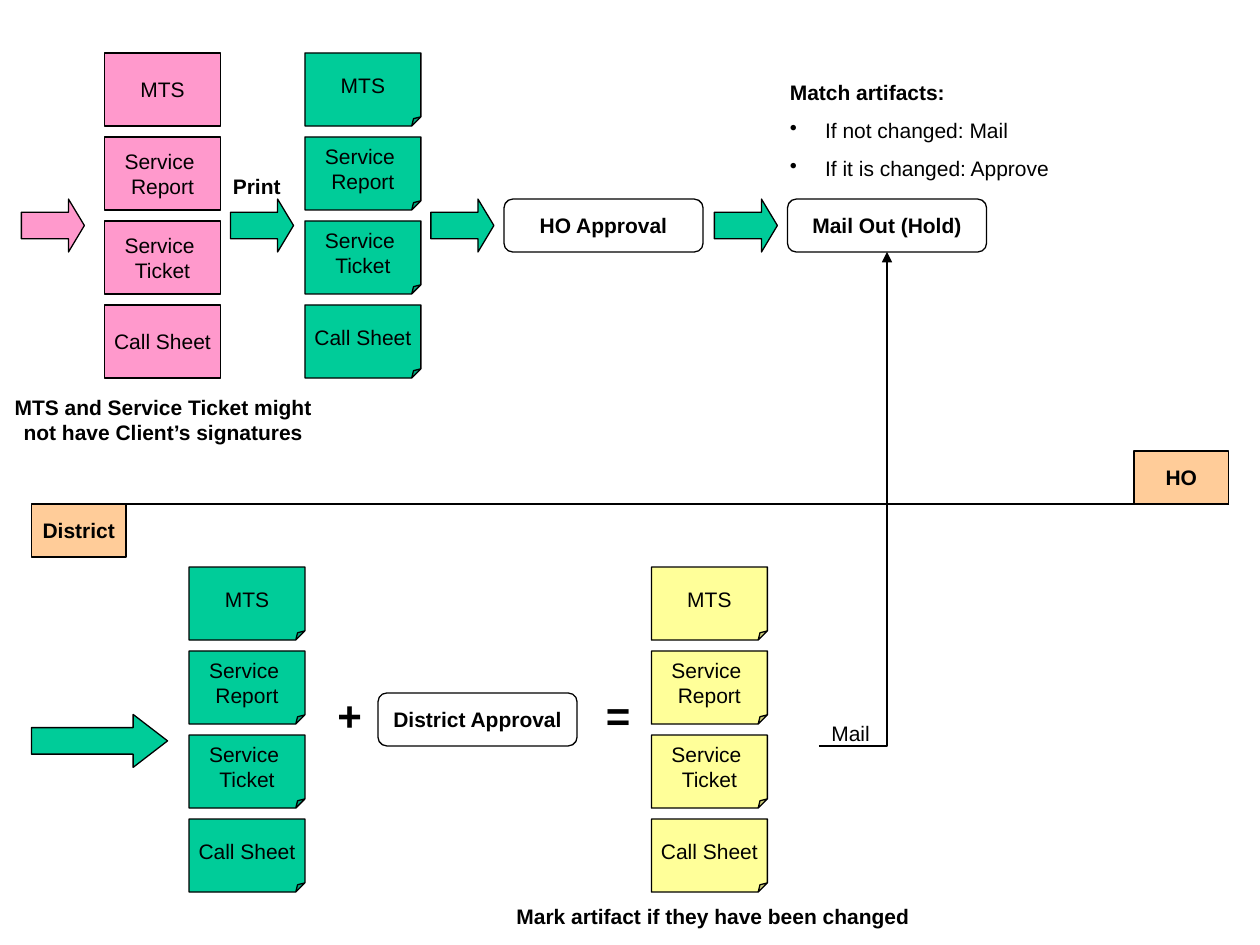
import pptx
import pptx.util
import pptx.dml.color
import pptx.enum.shapes
import pptx.enum.text
import pptx.oxml
import pptx.oxml.ns
import lxml.etree

Inches, Pt = pptx.util.Inches, pptx.util.Pt
RGBColor = pptx.dml.color.RGBColor
SHAPE = pptx.enum.shapes.MSO_SHAPE
CONNECTOR = pptx.enum.shapes.MSO_CONNECTOR
ALIGN = pptx.enum.text.PP_ALIGN
qn = pptx.oxml.ns.qn

BLACK = RGBColor(0x00, 0x00, 0x00)
GREEN = RGBColor(0x00, 0xCC, 0x99)
PINK = RGBColor(0xFF, 0x99, 0xCC)
YELLOW = RGBColor(0xFF, 0xFF, 0x99)
ORANGE = RGBColor(0xFF, 0xCC, 0x99)

# Content; places are in inches
DOCUMENTS = ["MTS", "Service \nReport", "Service \nTicket", "Call Sheet"]
CARD_WIDTH, CARD_HEIGHT, CARD_STEP = 0.92, 0.58, 2 / 3
BAND_HEIGHT = 0.42
ARROW_WIDTH, STEP_WIDTH = 0.5, 1.58
TOP_ROW = 1.58
# left, top, fill, fold size
STACKS = [
    (1.5, 4.5, GREEN, 0.125),
    (5.17, 4.5, YELLOW, 0.125),
    (0.83, 0.42, PINK, 0),
    (2.42, 0.42, GREEN, 0.125),
]
# left, top, width, fill, head length
ARROWS = [
    (0.25, 5.67, 1.08, GREEN, 0.65),
    (0.17, TOP_ROW, ARROW_WIDTH, PINK, 0.3),
    (1.83, TOP_ROW, ARROW_WIDTH, GREEN, 0.3),
    (3.42, TOP_ROW, ARROW_WIDTH, GREEN, 0.3),
    (5.67, TOP_ROW, ARROW_WIDTH, GREEN, 0.3),
]
LANES = [("HO", 9, 3.58), ("District", 0.25, 4)]
STEPS = [
    ("HO Approval", 4, TOP_ROW),
    ("District Approval", 3, 5.5),
    ("Mail Out (Hold)", 6.25, TOP_ROW),
]
# text, place, format
LABELS = [
    ("+\t=", (2.58, 5.42, 3.83, 0.5), dict(size=24, bold=True, before=15, tab=2.13)),
    ("Mail", (6.5, 5.67, 1.33, 0.3), dict()),
    ("Mark artifact if they have been changed", (4, 7.12, 3.92, 0.3), dict(bold=True)),
    ("Print", (1.75, 1.33, 1.17, 0.3), dict(bold=True)),
    ("MTS and Service Ticket might not have Client’s signatures",
     (-0.08, 3.08, 2.75, 0.5), dict(bold=True, align=ALIGN.CENTER)),
]
MATCH_TITLE = "Match artifacts:"
MATCH_RULES = ["If not changed: Mail", "If it is changed: Approve"]
MATCH_PLACE = (6.17, 0.58, 2.42, 0.91)


def write_text(frame, text, size=12, bold=False, align=ALIGN.LEFT, before=0,
               bullet=False, tab=None, append=False):
    """Write one paragraph for each line of text."""
    for index, line in enumerate(text.split("\n")):
        para = frame.add_paragraph() if append or index else frame.paragraphs[0]
        para.alignment = align
        para.space_before = Pt(before)
        span = para.add_run()
        span.text = line
        span.font.name = "Arial"
        span.font.size = Pt(size)
        span.font.bold = bold
        span.font.color.rgb = BLACK
        properties = para._p.get_or_add_pPr()
        if bullet:
            properties.set("marL", str(Inches(0.28)))
            properties.set("indent", str(-Inches(0.28)))
            lxml.etree.SubElement(properties, qn("a:buChar"), char="•")
        if tab:
            stops = lxml.etree.SubElement(properties, qn("a:tabLst"))
            lxml.etree.SubElement(stops, qn("a:tab"), pos=str(Inches(tab)), algn="l")


def add_box(page, kind, place, fill=None, text="", bold=False):
    box = page.shapes.add_shape(kind, *map(Inches, place))
    box.shadow.inherit = False
    if fill is None:
        box.fill.background()
    else:
        box.fill.solid()
        box.fill.fore_color.rgb = fill
    box.line.color.rgb = BLACK
    box.line.width = Pt(0.75)
    if text:
        frame = box.text_frame
        frame.word_wrap = False
        frame.vertical_anchor = pptx.enum.text.MSO_ANCHOR.MIDDLE
        write_text(frame, text, bold=bold, align=ALIGN.CENTER)
    return box


def set_fold(card, fold):
    """Set the fold size in XML, as the library lists no adjustment for this shape."""
    geometry = card._element.spPr.find(qn("a:prstGeom"))
    guides = geometry.find(qn("a:avLst"))
    if guides is None:
        guides = lxml.etree.SubElement(geometry, qn("a:avLst"))
    lxml.etree.SubElement(guides, qn("a:gd"), name="adj", fmla=f"val {round(fold * 100000)}")


def add_label(page, place):
    frame = page.shapes.add_textbox(*map(Inches, place)).text_frame
    frame.word_wrap = True
    frame.auto_size = pptx.enum.text.MSO_AUTO_SIZE.SHAPE_TO_FIT_TEXT
    return frame


def add_line(page, kind, *ends):
    line = page.shapes.add_connector(kind, *map(Inches, ends))
    line.line.color.rgb = BLACK
    line.line.width = Pt(0.75)
    lxml.etree.SubElement(line._element.spPr, qn("a:effectLst"))
    return line


def main():
    deck = pptx.Presentation()
    deck.slide_width, deck.slide_height = Inches(10), Inches(7.5)
    page = deck.slides.add_slide(deck.slide_layouts[6])

    # Lanes
    add_line(page, CONNECTOR.STRAIGHT, 0.25, 4, 9.75, 4)
    for name, left, top in LANES:
        add_box(page, SHAPE.RECTANGLE, (left, top, 0.75, BAND_HEIGHT), ORANGE, name, bold=True)

    # Document stacks
    for left, top, fill, fold in STACKS:
        for index, name in enumerate(DOCUMENTS):
            place = (left, top + index * CARD_STEP, CARD_WIDTH, CARD_HEIGHT)
            set_fold(add_box(page, SHAPE.FOLDED_CORNER, place, fill, name), fold)

    # Flow arrows and approval steps
    for left, top, width, fill, head in ARROWS:
        arrow = add_box(page, SHAPE.RIGHT_ARROW, (left, top, width, BAND_HEIGHT), fill)
        arrow.adjustments[1] = head
    for name, left, top in STEPS:
        place = (left, top, STEP_WIDTH, BAND_HEIGHT)
        add_box(page, SHAPE.ROUNDED_RECTANGLE, place, text=name, bold=True)

    # Mail route: one right-angle bend, arrowhead at the top
    route = add_line(page, CONNECTOR.ELBOW, 6.5, 5.92, 7.04, 2)
    properties = route._element.spPr
    properties.find(qn("a:prstGeom")).set("prst", "bentConnector2")
    lxml.etree.SubElement(properties.find(qn("a:ln")), qn("a:tailEnd"), type="triangle")

    # Labels
    for text, place, style in LABELS:
        write_text(add_label(page, place), text, **{"before": 7.5, **style})
    frame = add_label(page, MATCH_PLACE)
    write_text(frame, MATCH_TITLE, bold=True, before=7.5)
    for rule in MATCH_RULES:
        write_text(frame, rule, before=7.5, bullet=True, append=True)

    deck.save("out.pptx")


if __name__ == "__main__":
    main()
